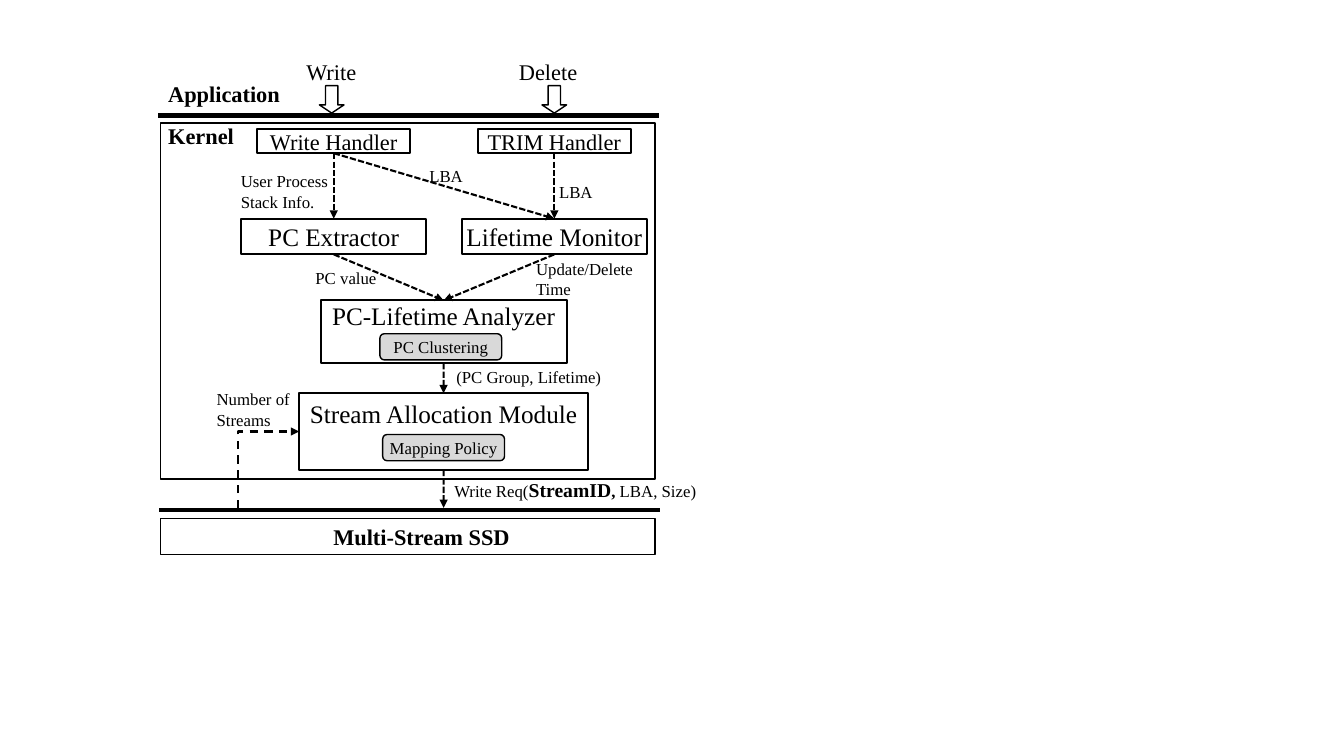
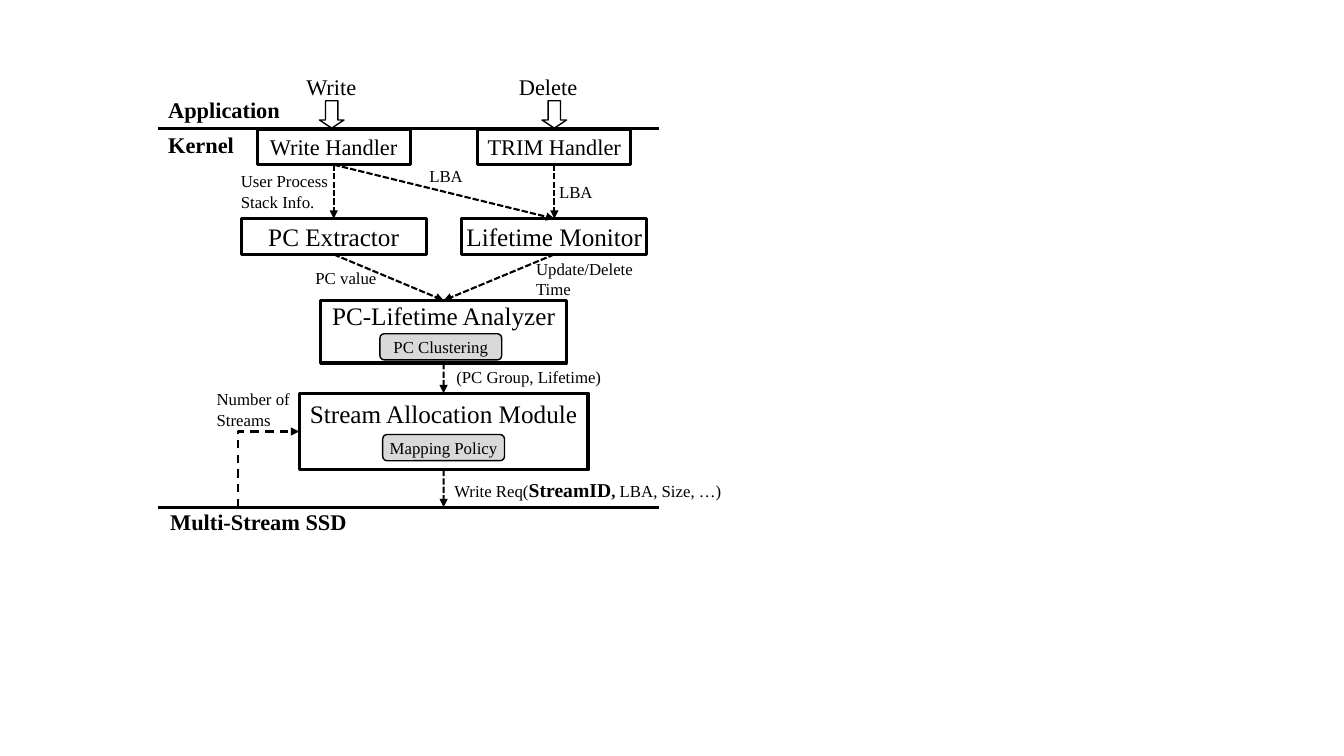
from dataclasses import dataclass

from lxml import etree
from pptx import Presentation
from pptx.dml.color import RGBColor
from pptx.enum.dml import MSO_LINE
from pptx.enum.shapes import MSO_CONNECTOR, MSO_SHAPE
from pptx.enum.text import MSO_ANCHOR, MSO_AUTO_SIZE, PP_ALIGN
from pptx.oxml.ns import qn
from pptx.util import Cm, Pt

BLACK = RGBColor(0, 0, 0)
WHITE = RGBColor(255, 255, 255)
GRAY = RGBColor(0xD9, 0xD9, 0xD9)
FONT = "Times New Roman"

RECT, ROUND, DOWN = MSO_SHAPE.RECTANGLE, MSO_SHAPE.ROUNDED_RECTANGLE, MSO_SHAPE.DOWN_ARROW
STRAIGHT, ELBOW = MSO_CONNECTOR.STRAIGHT, MSO_CONNECTOR.ELBOW
DASH, DOTS = MSO_LINE.DASH, MSO_LINE.SQUARE_DOT
TOP, MIDDLE = MSO_ANCHOR.TOP, MSO_ANCHOR.MIDDLE
CENTER, GROW = PP_ALIGN.CENTER, MSO_AUTO_SIZE.SHAPE_TO_FIT_TEXT
NORTH, WEST, SOUTH = 0, 1, 2

# Column centres and edges, in cm
LEFT, MID, RIGHT = 8.41, 11.18, 13.97
EDGE, SPAN = 4.04, 12.47
FEED = 5.99


@dataclass(frozen=True)
class Part:
    """A run of text."""
    text: str
    size: float = 12
    bold: bool = False


@dataclass(frozen=True)
class Box:
    """A module, placed by its centre line."""
    text: str
    mid: float
    top: float
    width: float
    height: float
    size: float = 18
    anchor: MSO_ANCHOR = MIDDLE
    inset: float = 0.13


@dataclass(frozen=True)
class Label:
    """Free text; each row is a tuple of parts."""
    rows: tuple[tuple[Part, ...], ...]
    left: float
    top: float
    width: float
    height: float = 0.76


@dataclass(frozen=True)
class Rule:
    """A level line between layers."""
    left: float
    y: float
    weight: float


@dataclass(frozen=True)
class View:
    """What differs from slide to slide."""
    stroke: float
    depth: float      # height of the handlers
    call: float       # top of the Write and Delete labels
    app: float
    kernel: float
    drive: tuple[float, float]
    foot: float       # end of the last arrow
    rules: tuple[Rule, ...]
    frames: tuple[tuple[float, float], ...]
    tail: str
    reach: float      # width of the request label


def plain(text: str, left: float, top: float, width: float) -> Label:
    rows = tuple((Part(row),) for row in text.split("\n"))
    return Label(rows, left, top, width, 1.27 if len(rows) > 1 else 0.76)


def large(text: str, left: float, top: float, width: float, bold: bool = False) -> Label:
    return Label(((Part(text, 16, bold),),), left, top, width, 0.94)


MODULES = {
    "pc": Box("PC Extractor", LEFT, 5.51, 4.66, 0.9),
    "life": Box("Lifetime Monitor", RIGHT, 5.51, 4.66, 0.9),
    "join": Box("PC-Lifetime Analyzer", MID, 7.57, 6.2, 1.58, anchor=TOP, inset=0),
    "stream": Box("Stream Allocation Module", MID, 9.91, 7.28, 1.93, anchor=TOP),
}
PILLS = (
    Box("PC Clustering", 11.11, 8.41, 3.07, 0.66, 12),
    Box("Mapping Policy", MID, 10.95, 3.07, 0.66, 12),
)
FLOWS = (("write", "pc"), ("write", "life"), ("trim", "life"),
         ("pc", "join"), ("life", "join"), ("join", "stream"))
LABELS = (
    plain("User Process\nStack Info.", 5.82, 4.19, 2.84),
    plain("LBA", 10.57, 4.06, 1.37),
    plain("LBA", 13.84, 4.45, 1.37),
    plain("PC value", 7.7, 6.63, 2.08),
    plain("Update/Delete\nTime", 13.26, 6.4, 3.1),
    plain("(PC Group, Lifetime)", 11.25, 9.12, 4.22),
    plain("Number of\nStreams", 5.21, 9.68, 2.49),
)
VIEWS = (
    View(1.5, 0.61, 1.35, 1.9, 2.95, (8.15, 13.06), 12.8,
         (Rule(3.99, 2.92, 3.5), Rule(4.01, 12.85, 3.5)),
         ((3.1, 8.97), (13.06, 0.91)), "LBA, Size)", 6.88),
    View(2.25, 0.9, 1.73, 2.29, 3.18, (4.04, 12.67), 12.78,
         (Rule(3.99, 3.23, 2), Rule(3.99, 12.78, 2)),
         (), "LBA, Size, …)", 7.32),
)


def write(para, part: Part) -> None:
    run = para.add_run()
    run.text = part.text
    run.font.name, run.font.size, run.font.bold = FONT, Pt(part.size), part.bold
    run.font.color.rgb = BLACK


def form(slide, kind, left: float, top: float, width: float, height: float,
         weight: float, fill: RGBColor | None = None):
    shape = slide.shapes.add_shape(kind, Cm(left), Cm(top), Cm(width), Cm(height))
    shape.shadow.inherit = False
    if fill is None:
        shape.fill.background()
    else:
        shape.fill.solid()
        shape.fill.fore_color.rgb = fill
    shape.line.color.rgb, shape.line.width = BLACK, Pt(weight)
    return shape


def block(slide, box: Box, weight: float, kind=RECT, fill: RGBColor | None = None):
    shape = form(slide, kind, box.mid - box.width / 2, box.top, box.width, box.height,
                 weight, fill)
    frame = shape.text_frame
    frame.word_wrap, frame.vertical_anchor = True, box.anchor
    frame.margin_left = frame.margin_right = 0
    frame.margin_top = frame.margin_bottom = Cm(box.inset)
    frame.paragraphs[0].alignment = CENTER
    write(frame.paragraphs[0], Part(box.text, box.size))
    return shape


def note(slide, label: Label) -> None:
    area = slide.shapes.add_textbox(Cm(label.left), Cm(label.top),
                                    Cm(label.width), Cm(label.height))
    frame = area.text_frame
    frame.word_wrap, frame.auto_size = False, GROW
    for index, row in enumerate(label.rows):
        para = frame.add_paragraph() if index else frame.paragraphs[0]
        for part in row:
            write(para, part)


def link(slide, start: tuple[float, float], end: tuple[float, float],
         weight: float = 1.5, dash: MSO_LINE | None = None, kind=STRAIGHT):
    """Draw a line; a dashed one gets an arrowhead."""
    line = slide.shapes.add_connector(kind, *(Cm(n) for n in start + end))
    line.line.color.rgb, line.line.width = BLACK, Pt(weight)
    if dash is not None:
        line.line.dash_style = dash
        etree.SubElement(line.line._get_or_add_ln(), qn("a:tailEnd"), type="triangle")
    etree.SubElement(line._element.spPr, qn("a:effectLst"))
    return line


def bend(slide, foot: float, stream) -> None:
    """Lead up from the drive, then right into the stream module."""
    box = MODULES["stream"]
    x, y = box.mid - box.width / 2, box.top + box.height / 2
    line = link(slide, (FEED, foot), (x, y), dash=DASH, kind=ELBOW)
    line.end_connect(stream, WEST)
    # A two-leg elbow turned by a quarter: its width is the rise
    rise, run = foot - y, x - FEED
    line.left, line.top = Cm((FEED + x - rise) / 2), Cm((foot + y - run) / 2)
    line.width, line.height = Cm(rise), Cm(run)
    props = line._element.spPr
    props.find(qn("a:prstGeom")).set("prst", "bentConnector2")
    turn = props.find(qn("a:xfrm"))
    for key, value in (("rot", "5400000"), ("flipH", "1"), ("flipV", "1")):
        turn.set(key, value)


def draw(slide, view: View) -> None:
    # Layers
    for top, height in view.frames:
        form(slide, RECT, EDGE, top, SPAN, height, 1)
    for rule in view.rules:
        link(slide, (rule.left, rule.y), (rule.left + 12.62, rule.y), rule.weight)

    # Modules
    boxes = MODULES | {
        "write": Box("Write Handler", LEFT, 3.25, 3.86, view.depth, 16),
        "trim": Box("TRIM Handler", RIGHT, 3.25, 3.86, view.depth, 16),
    }
    shapes = {key: block(slide, box, view.stroke) for key, box in boxes.items()}
    for pill in PILLS:
        block(slide, pill, 1, ROUND, GRAY)

    # Flows
    for source, target in FLOWS:
        a, b = boxes[source], boxes[target]
        line = link(slide, (a.mid, a.top + a.height), (b.mid, b.top), dash=DOTS)
        line.begin_connect(shapes[source], SOUTH)
        line.end_connect(shapes[target], NORTH)
    last = boxes["stream"]
    line = link(slide, (MID, last.top + last.height), (MID, view.foot), dash=DOTS)
    line.begin_connect(shapes["stream"], SOUTH)
    bend(slide, view.foot, shapes["stream"])

    # Calls from above
    for mid in (8.36, RIGHT):
        arrow = form(slide, DOWN, mid - 0.31, view.call + 0.81, 0.62, 0.69, 1, WHITE)
        arrow.adjustments[0], arrow.adjustments[1] = 0.5, 0.33

    # Labels
    request = (Part("Write Req("), Part("StreamID", 14, True),
               Part(", ", 12, True), Part(view.tail))
    for label in LABELS + (
        large("Write", 7.47, view.call, 1.8),
        large("Delete", 12.83, view.call, 2.01),
        large("Application", 3.99, view.app, 3.38, True),
        large("Kernel", 3.99, view.kernel, 2.18, True),
        large("Multi-Stream SSD", *view.drive, 5.03, True),
        Label((request,), 11.2, 11.91, view.reach, 0.86),
    ):
        note(slide, label)


def main() -> None:
    deck = Presentation()
    deck.slide_width, deck.slide_height = Cm(33.87), Cm(19.05)
    for view in VIEWS:
        draw(deck.slides.add_slide(deck.slide_layouts[6]), view)
    deck.save("out.pptx")


if __name__ == "__main__":
    main()
